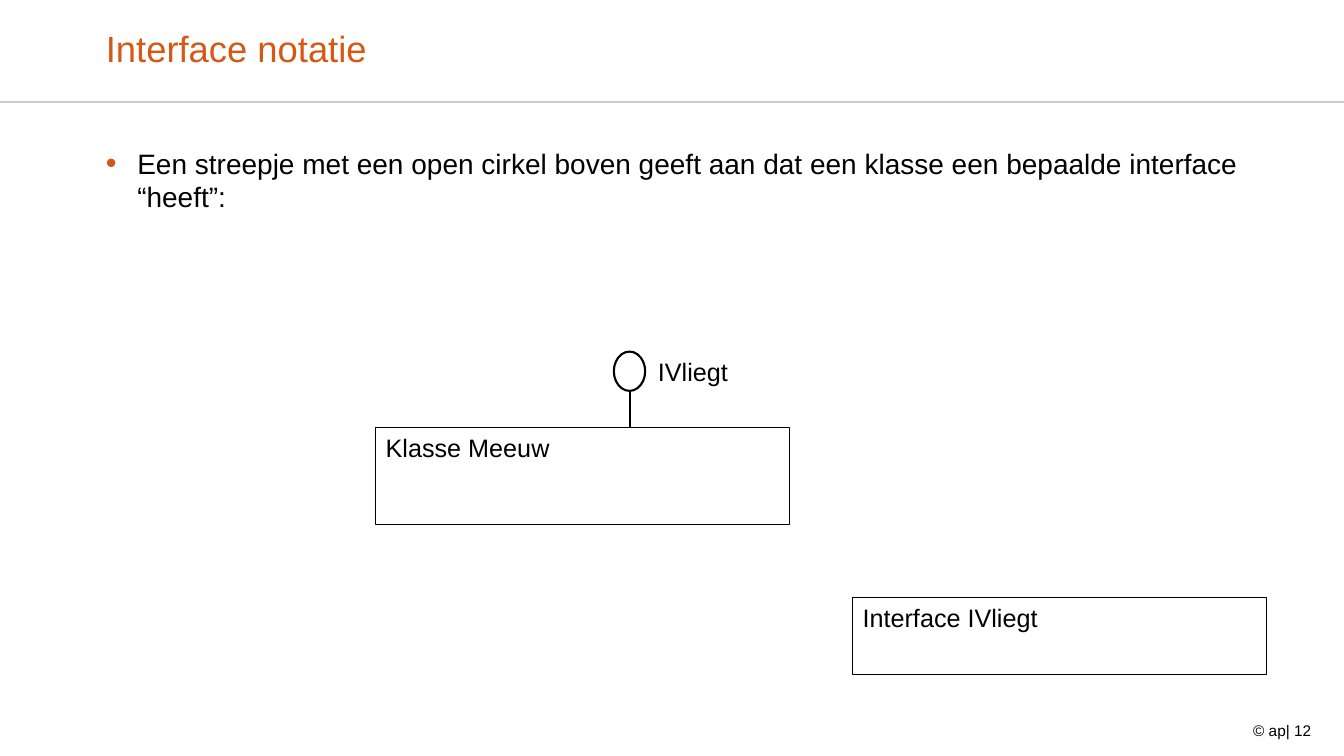
from pptx import Presentation
from pptx import util as u
from pptx.dml import color
from pptx.enum import shapes, text
from pptx.oxml import ns
from lxml import etree

COLORS = {"accent": "D55816", "ink": "000000", "rule": "CCCCCC"}


def write(box, words, size, name="ink", margin=None, **frame_format):
    frame = box.text_frame
    if margin is not None:
        for side in ("left", "top", "right", "bottom"):
            setattr(frame, f"margin_{side}", margin)
    settings = {"word_wrap": True, "vertical_anchor": text.MSO_ANCHOR.TOP, **frame_format}
    for key, value in settings.items():
        setattr(frame, key, value)
    para = frame.paragraphs[0]
    para.alignment = text.PP_ALIGN.LEFT
    span = para.add_run()
    span.text = words
    for key, value in {"name": "Arial", "size": u.Pt(size)}.items():
        setattr(span.font, key, value)
    span.font.color.rgb = color.RGBColor.from_string(COLORS[name])
    return para


def draw_line(start, end, name, width):
    line = slide.shapes.add_connector(shapes.MSO_CONNECTOR.STRAIGHT, *map(u.Cm, start + end))
    line.line.color.rgb = color.RGBColor.from_string(COLORS[name])
    line.line.width = u.Pt(width)
    etree.SubElement(line._element.spPr, ns.qn("a:effectLst"))


deck = Presentation()
deck.slide_width, deck.slide_height = u.Cm(33.87), u.Cm(19.05)
slide = deck.slides.add_slide(deck.slide_layouts[6])
middle = text.MSO_ANCHOR.MIDDLE

draw_line((0, 2.57), (33.87, 2.57), "rule", 1)

title = slide.shapes.add_textbox(*map(u.Cm, (2.67, 0, 28.52, 2.57)))
para = write(title, "Interface notatie", 26, "accent", 0, vertical_anchor=middle)
para.line_spacing = 0.9

body = slide.shapes.add_textbox(*map(u.Cm, (2.67, 3.68, 30.4, 13.61)))
para = write(
    body,
    "Een streepje met een open cirkel boven geeft aan dat een klasse een bepaalde interface “heeft”:",
    20, margin=0,
)
props = para._p.get_or_add_pPr()
props.set("marL", str(u.Cm(0.79)))
props.set("indent", str(-u.Cm(0.79)))
bullet_color = etree.SubElement(props, ns.qn("a:buClr"))
etree.SubElement(bullet_color, ns.qn("a:srgbClr"), val=COLORS["accent"])
etree.SubElement(props, ns.qn("a:buSzPct"), val="110000")
etree.SubElement(props, ns.qn("a:buFont"), typeface="Arial")
etree.SubElement(props, ns.qn("a:buChar"), char="•")

footer = slide.shapes.add_textbox(*map(u.Cm, (24.13, 17.98, 8.92, 0.86)))
para = write(footer, "© ap| 12", 11, margin=0, vertical_anchor=middle)
para.alignment = text.PP_ALIGN.RIGHT

draw_line((15.87, 9.84), (15.87, 10.77), "ink", 1.5)

oval, rectangle = shapes.MSO_SHAPE.OVAL, shapes.MSO_SHAPE.RECTANGLE
for kind, place, width, words in (
    (oval, (15.47, 8.86, 0.79, 0.99), 1.5, None),
    (rectangle, (9.47, 10.77, 10.44, 2.44), 0.75, "Klasse Meeuw"),
    (rectangle, (21.49, 15.06, 10.44, 1.93), 0.75, "Interface IVliegt"),
):
    shape = slide.shapes.add_shape(kind, *map(u.Cm, place))
    shape.shadow.inherit = False
    shape.fill.background()
    shape.line.color.rgb = color.RGBColor.from_string(COLORS["ink"])
    shape.line.width = u.Pt(width)
    if words:
        write(shape, words, 18)

label = slide.shapes.add_textbox(*map(u.Cm, (16.33, 8.86, 2.29, 1.02)))
write(label, "IVliegt", 18, word_wrap=False, auto_size=text.MSO_AUTO_SIZE.SHAPE_TO_FIT_TEXT)

deck.save("out.pptx")
